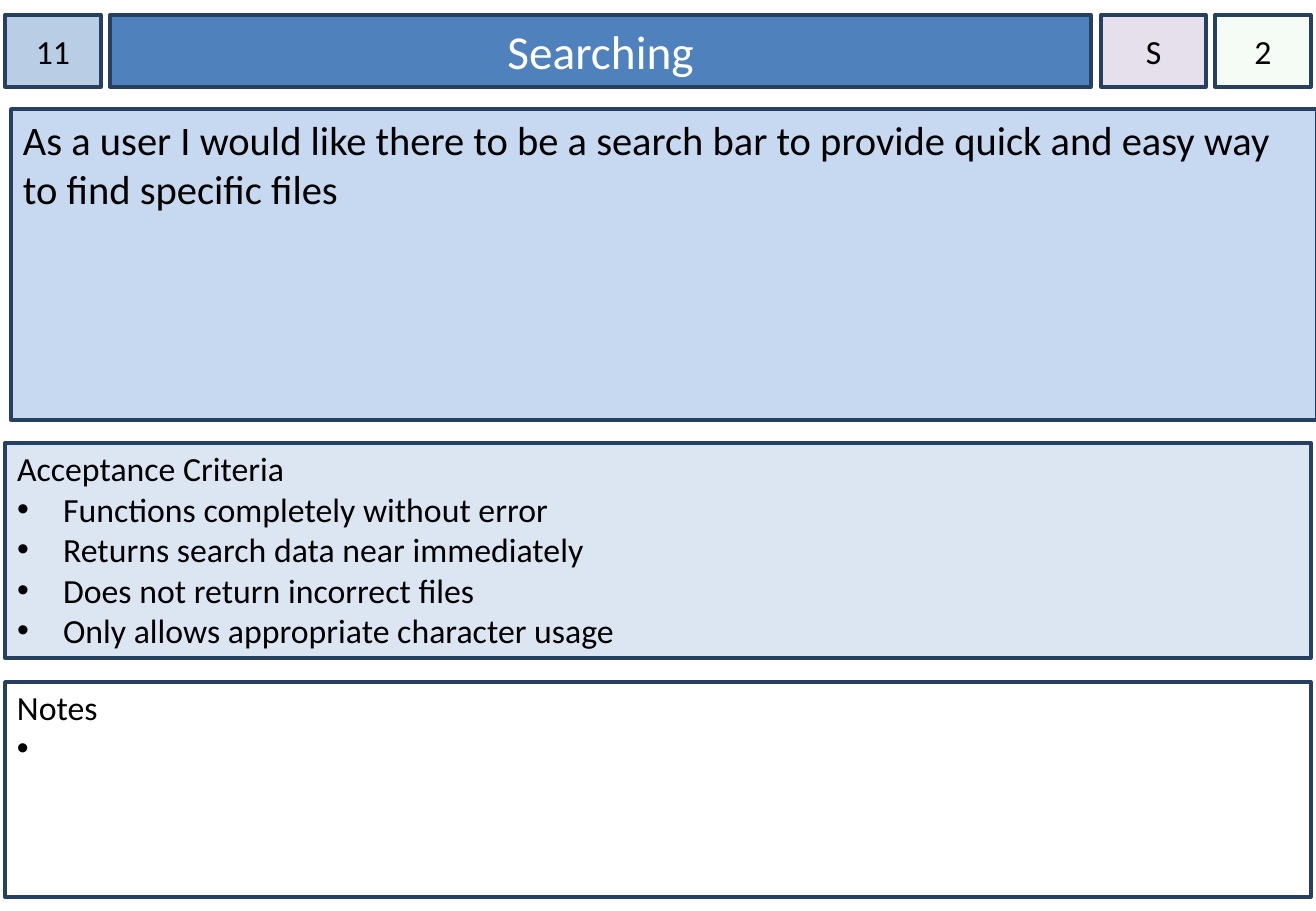
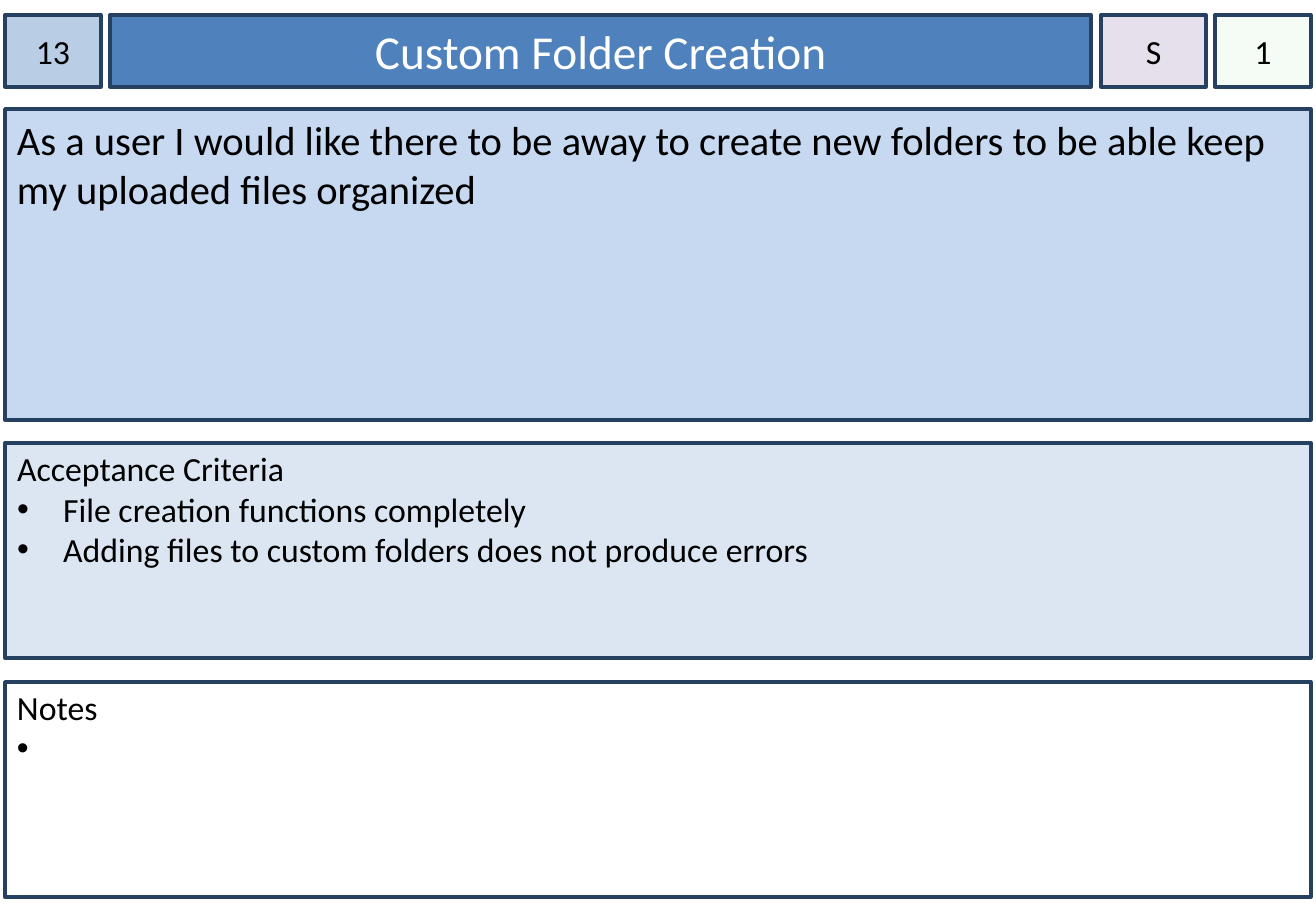
from dataclasses import dataclass

from lxml import etree
from pptx import Presentation
from pptx.dml.color import RGBColor
from pptx.enum.shapes import MSO_SHAPE
from pptx.enum.text import MSO_ANCHOR, MSO_AUTO_SIZE, PP_ALIGN
from pptx.oxml.ns import qn
from pptx.util import Emu, Pt

RECTANGLE = MSO_SHAPE.RECTANGLE
TOP, MIDDLE = MSO_ANCHOR.TOP, MSO_ANCHOR.MIDDLE
LEFT, CENTER = PP_ALIGN.LEFT, PP_ALIGN.CENTER
NO_FIT = MSO_AUTO_SIZE.NONE

SCALE = 914400 / 121.5
PAGE_WIDTH, PAGE_HEIGHT = 1316, 911
TITLE_AND_CONTENT = 1
FONT = "Calibri"
COLORS = {
    "border": "254061",
    "text": "000000",
    "title_text": "FFFFFF",
    "number": "B9CDE5",
    "title": "4F81BD",
    "priority": "E6E0EC",
    "points": "CCF0CD",
    "story": "C6D9F1",
    "criteria": "DCE6F2",
    "notes": "FFFFFF",
}
POINTS_OPACITY = 20


@dataclass(frozen=True)
class Area:
    """A rectangle in pixels."""
    left: int
    top: int
    width: int
    height: int


@dataclass(frozen=True)
class Card:
    """One user story card."""
    number: str
    title: str
    priority: str
    points: str
    story: str
    criteria: tuple[str, ...]
    story_left: int = 5


def header_area(left: int, width: int) -> Area:
    """Return a cell of the header row."""
    return Area(left, 15, width, 72)


def panel_area(top: int, height: int, left: int = 5) -> Area:
    """Return a panel as wide as the card."""
    return Area(left, top, 1306, height)


def pixels(length: float) -> Emu:
    """Turn pixels into EMU."""
    return Emu(round(length * SCALE))


def style_box(box, area: Area, color: str, opacity: int = 100) -> None:
    """Place a box and give it its fill and border."""
    box.left, box.top = pixels(area.left), pixels(area.top)
    box.width, box.height = pixels(area.width), pixels(area.height)
    box.fill.solid()
    box.fill.fore_color.rgb = RGBColor.from_string(COLORS[color])
    if opacity < 100:
        fill_color = box.fill._xPr.find(f".//{qn('a:srgbClr')}")
        etree.SubElement(fill_color, qn("a:alpha"), val=str(opacity * 1000))
    box.line.color.rgb = RGBColor.from_string(COLORS["border"])
    box.line.width = Pt(2)


def add_box(page, area: Area, color: str, opacity: int = 100):
    """Add a bordered rectangle without a shadow."""
    box = page.shapes.add_shape(RECTANGLE, 0, 0, 0, 0)
    box.shadow.inherit = False
    style_box(box, area, color, opacity)
    return box


def set_bullet(para, indent: int) -> None:
    """Give a paragraph a hanging bullet, or none when the indent is zero."""
    properties = para._p.get_or_add_pPr()
    properties.set("marL", str(pixels(indent)))
    properties.set("indent", str(-pixels(indent)))
    if indent:
        etree.SubElement(properties, qn("a:buFont"), typeface="Arial")
        etree.SubElement(properties, qn("a:buChar"), char="•")
    else:
        etree.SubElement(properties, qn("a:buNone"))


def write(box, *lines: str, size: int = 20, color: str = "text",
          align=LEFT, anchor=TOP, side: int = 12, top: int = 6,
          wrap: bool = True, indent: int = 0) -> None:
    """Fill a box with lines; those after the first may be bulleted."""
    frame = box.text_frame
    frame.auto_size = NO_FIT
    frame.word_wrap = wrap
    frame.vertical_anchor = anchor
    frame.margin_left = frame.margin_right = pixels(side)
    frame.margin_top, frame.margin_bottom = pixels(top), pixels(6)
    for index, line in enumerate(lines):
        para = frame.add_paragraph() if index else frame.paragraphs[0]
        para.alignment = align
        para.space_before = Pt(0)
        set_bullet(para, indent if index else 0)
        span = para.add_run()
        span.text = line
        span.font.name = FONT
        span.font.size = Pt(size)
        span.font.color.rgb = RGBColor.from_string(COLORS[color])


def add_header(page, card: Card) -> None:
    """Draw the number, title, priority and points of a card."""
    style_box(page.shapes.title, header_area(110, 981), "title")
    write(page.shapes.title, card.title, size=28, color="title_text",
          align=CENTER, anchor=MIDDLE)
    cells = (
        (card.number, header_area(5, 96), "number", 100, True),
        (card.priority, header_area(1101, 105), "priority", 100, False),
        (card.points, header_area(1215, 96), "points", POINTS_OPACITY, True),
    )
    for text, area, color, opacity, wrap in cells:
        write(add_box(page, area, color, opacity), text,
              align=CENTER, anchor=MIDDLE, side=0, wrap=wrap)


def add_card(deck, card: Card) -> None:
    """Add a slide with one card."""
    page = deck.slides.add_slide(deck.slide_layouts[TITLE_AND_CONTENT])
    add_header(page, card)
    story = add_box(page, panel_area(109, 311, card.story_left), "story")
    write(story, card.story, size=24)
    criteria = page.placeholders[1]
    style_box(criteria, panel_area(443, 215), "criteria")
    write(criteria, "Acceptance Criteria", *card.criteria, top=5, indent=46)
    notes = add_box(page, panel_area(682, 215), "notes")
    write(notes, "Notes", " ", top=5, indent=24)


CARDS = (
    Card("11", "Searching", "S", "2",
         "As a user I would like there to be a search bar to provide quick "
         "and easy way to find specific files",
         ("Functions completely without error",
          "Returns search data near immediately ",
          "Does not return incorrect files",
          "Only allows appropriate character usage"),
         story_left=11),
    Card("13", "Custom Folder Creation", "S", "1",
         "As a user I would like there to be away to create new folders to "
         "be able keep my uploaded files organized",
         ("File creation functions completely",
          "Adding files to custom folders does not produce errors")),
)


def main() -> None:
    """Build and save the deck."""
    deck = Presentation()
    deck.slide_width, deck.slide_height = pixels(PAGE_WIDTH), pixels(PAGE_HEIGHT)
    for card in CARDS:
        add_card(deck, card)
    deck.save("out.pptx")


main()
